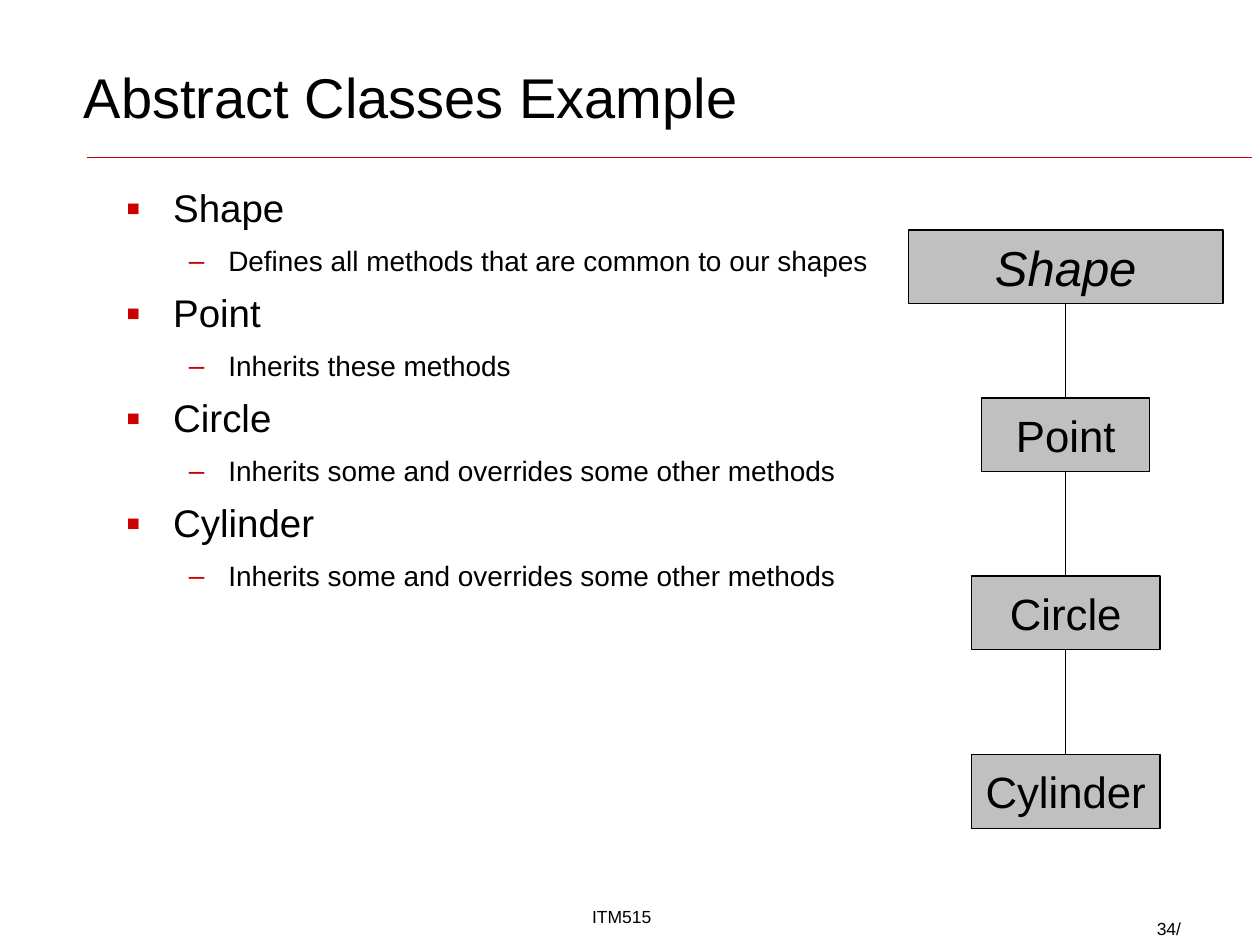
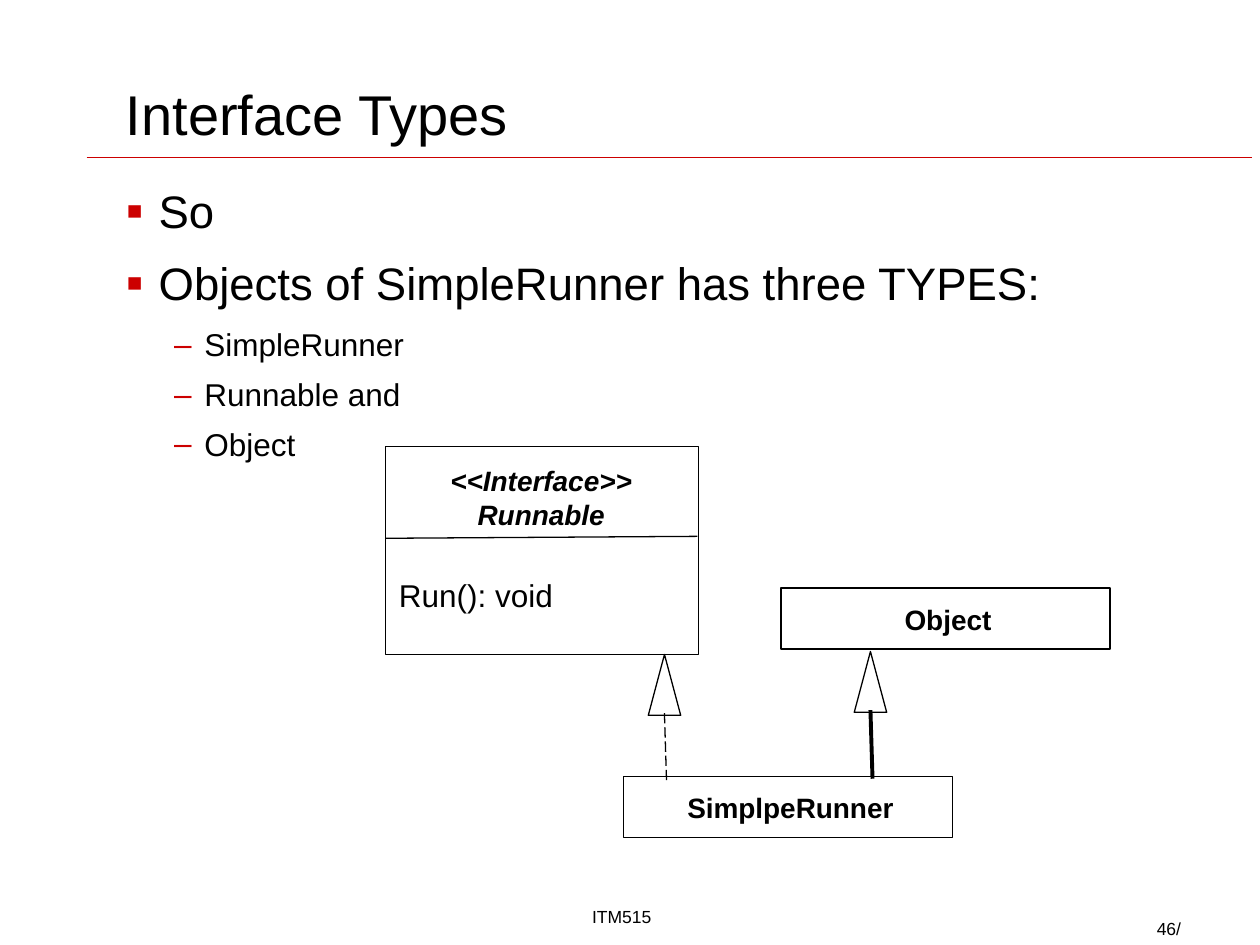
from lxml import etree
from pptx import Presentation
from pptx import util as u
from pptx.dml import color
from pptx.enum import dml, shapes, text
from pptx.oxml import ns

FONT = "Arial"
BLACK = "000000"
RED = "CC0000"
GREY = "C0C0C0"
CENTER = text.PP_ALIGN.CENTER
MIDDLE = text.MSO_ANCHOR.MIDDLE
BOTTOM = text.MSO_ANCHOR.BOTTOM


def rgb(hex_string):
    """Turn a hex string into a colour."""
    return color.RGBColor.from_string(hex_string)


def points(*lengths):
    """Turn numbers into point lengths."""
    return [u.Pt(length) for length in lengths]


def write(paragraph, words, size=16, bold=False, italic=False, align=None,
          line_spacing=None, gap=0):
    """Fill a paragraph with formatted text."""
    paragraph.text = words
    paragraph.alignment = align
    paragraph.line_spacing = line_spacing
    paragraph.space_before = paragraph.space_after = u.Pt(gap)
    for run in paragraph.runs:
        run.font.name = FONT
        run.font.size = u.Pt(size)
        run.font.bold = bold
        run.font.italic = italic
        run.font.color.rgb = rgb(BLACK)


def prepare_frame(shape, anchor=text.MSO_ANCHOR.TOP, wrap=True):
    """Clear the margins of a text frame and return it."""
    frame = shape.text_frame
    frame.word_wrap = wrap
    frame.vertical_anchor = anchor
    frame.margin_left = frame.margin_right = 0
    frame.margin_top = frame.margin_bottom = 0
    return frame


def add_label(slide, box, words, anchor=text.MSO_ANCHOR.TOP, **style):
    """Add a text box with one paragraph."""
    frame = prepare_frame(slide.shapes.add_textbox(*points(*box)), anchor)
    write(frame.paragraphs[0], words, **style)


def add_outline(slide, box, kind=shapes.MSO_SHAPE.RECTANGLE, fill=None, width=0.75):
    """Add a black-edged shape, hollow unless a fill is given."""
    shape = slide.shapes.add_shape(kind, *points(*box))
    shape.shadow.inherit = False
    if fill:
        shape.fill.solid()
        shape.fill.fore_color.rgb = rgb(fill)
    else:
        shape.fill.background()
    shape.line.color.rgb = rgb(BLACK)
    shape.line.width = u.Pt(width)
    return shape


def add_line(slide, start, end, line_color=BLACK, width=0.75, dash=None):
    """Add a straight line without a shadow."""
    line = slide.shapes.add_connector(shapes.MSO_CONNECTOR.STRAIGHT, *points(*start, *end))
    line.line.color.rgb = rgb(line_color)
    line.line.width = u.Pt(width)
    if dash:
        line.line.dash_style = dash
    etree.SubElement(line._element.spPr, ns.qn("a:effectLst"))


def add_bullet(paragraph, character, percent, margin, hanging):
    """Give a paragraph a red bullet and a hanging indent."""
    properties = paragraph._p.get_or_add_pPr()
    properties.set("marL", str(u.Pt(margin)))
    properties.set("indent", str(-u.Pt(hanging)))
    bullet_color = etree.SubElement(properties, ns.qn("a:buClr"))
    etree.SubElement(bullet_color, ns.qn("a:srgbClr"), val=RED)
    etree.SubElement(properties, ns.qn("a:buSzPct"), val=str(percent * 1000))
    etree.SubElement(properties, ns.qn("a:buFont"), typeface=FONT)
    etree.SubElement(properties, ns.qn("a:buChar"), char=character)


def add_outline_list(slide, box, items, sizes, indents):
    """Add a two-level list of (level, words) items."""
    frame = prepare_frame(slide.shapes.add_textbox(*points(*box)))
    for index, (level, words) in enumerate(items):
        paragraph = frame.add_paragraph() if index else frame.paragraphs[0]
        paragraph.level = level
        size = sizes[level]
        write(paragraph, words, size=size, line_spacing=0.9, gap=size / 4)
        add_bullet(paragraph, "▪–"[level], (110, 100)[level], *indents[level])


def add_base_slide(presentation, title, title_box, number):
    """Add a slide with its title, rule and footers."""
    slide = presentation.slides.add_slide(presentation.slide_layouts[6])
    add_line(slide, (49.5, 90), (715.5, 90), line_color=RED)
    add_label(slide, (241, 498, 228.5, 32), "ITM515", BOTTOM, size=10, align=CENTER)
    add_label(slide, (661, 504, 48, 32.4), number, BOTTOM, size=10)
    add_label(slide, title_box, title, BOTTOM, size=32, line_spacing=u.Pt(32))
    return slide


def add_class_chain(slide, center, height, classes):
    """Stack class boxes on one axis and join each to the next."""
    previous_bottom = None
    for name, top, width, size, italic in classes:
        box = add_outline(slide, (center - width / 2, top, width, height), fill=GREY)
        frame = prepare_frame(box, MIDDLE, wrap=False)
        write(frame.paragraphs[0], name, size=size, italic=italic, align=CENTER)
        if previous_bottom:
            add_line(slide, (center, previous_bottom), (center, top))
        previous_bottom = top + height


def add_named_class(slide, left, top, name, width=0.75):
    """Add a hollow class box with a bold name."""
    add_outline(slide, (left, top, 188, 34.75), width=width)
    add_label(slide, (left + 2, top + 8, 187, 19.5), name, bold=True, align=CENTER)


def add_inheritance(slide, tip_x, tip_y, tail_y, **style):
    """Add a hollow triangle pointing up, with a stem below."""
    add_line(slide, (tip_x, tip_y + 33.5), (tip_x + 1.2, tail_y), **style)
    add_outline(slide, (tip_x - 9.25, tip_y, 18.5, 34.75),
                kind=shapes.MSO_SHAPE.ISOSCELES_TRIANGLE)


def build_abstract_classes(presentation):
    """Build the slide on abstract classes."""
    slide = add_base_slide(presentation, "Abstract Classes Example", (48, 0, 636.5, 74.2), "34/")
    items = [
        (0, "Shape"), (1, "Defines all methods that are common to our shapes"),
        (0, "Point"), (1, "Inherits these methods"),
        (0, "Circle"), (1, "Inherits some and overrides some other methods"),
        (0, "Cylinder"), (1, "Inherits some and overrides some other methods"),
    ]
    add_outline_list(slide, (72, 108, 427, 355.5), items, (22, 16), ((27, 27), (58.5, 22.5)))
    add_class_chain(slide, 609, 42, [
        ("Shape", 131.4, 180, 28, True),
        ("Point", 227.4, 96, 25, False),
        ("Circle", 329.2, 108, 25, False),
        ("Cylinder", 431.3, 108, 25, False),
    ])


def build_interface_types(presentation):
    """Build the slide on interface types."""
    slide = add_base_slide(presentation, "Interface Types", (72, 24, 598.5, 59.7), "46/")
    items = [
        (0, "So"), (0, "Objects of SimpleRunner has three TYPES:"),
        (1, "SimpleRunner"), (1, "Runnable and"), (1, "Object"),
    ]
    add_outline_list(slide, (72, 108, 598.5, 184.5), items, (26, 18), ((18.7, 18.7), (44.8, 17.2)))
    add_outline(slide, (220.5, 255.3, 178.8, 118.7))
    add_label(slide, (224, 265, 170.6, 38.2), "<<Interface>>\nRunnable",
              bold=True, italic=True, align=CENTER)
    add_label(slide, (228, 329.2, 170.6, 21.6), "Run(): void", size=18)
    add_line(slide, (220.5, 307.6), (398.5, 306.5))
    add_named_class(slide, 356.2, 443.7, "SimplpeRunner")
    add_named_class(slide, 446.2, 336.2, "Object", width=1)
    add_inheritance(slide, 379.7, 374, 446.5, dash=dml.MSO_LINE.LONG_DASH)
    add_inheritance(slide, 497.4, 372.3, 445, width=2.25)


def main():
    """Build and save the presentation."""
    presentation = Presentation()
    presentation.slide_width, presentation.slide_height = points(720, 540)
    build_abstract_classes(presentation)
    build_interface_types(presentation)
    presentation.save("out.pptx")


if __name__ == "__main__":
    main()
